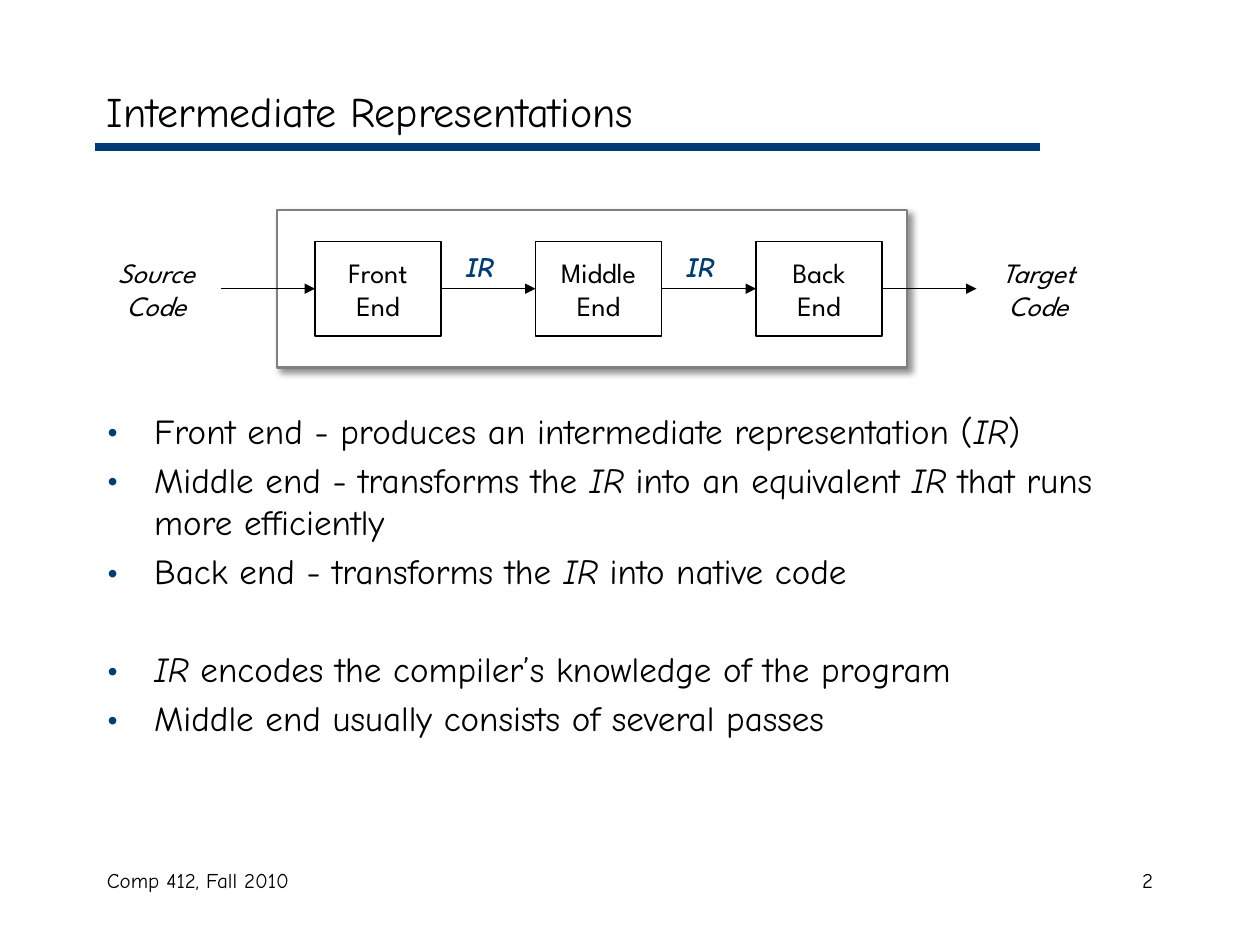
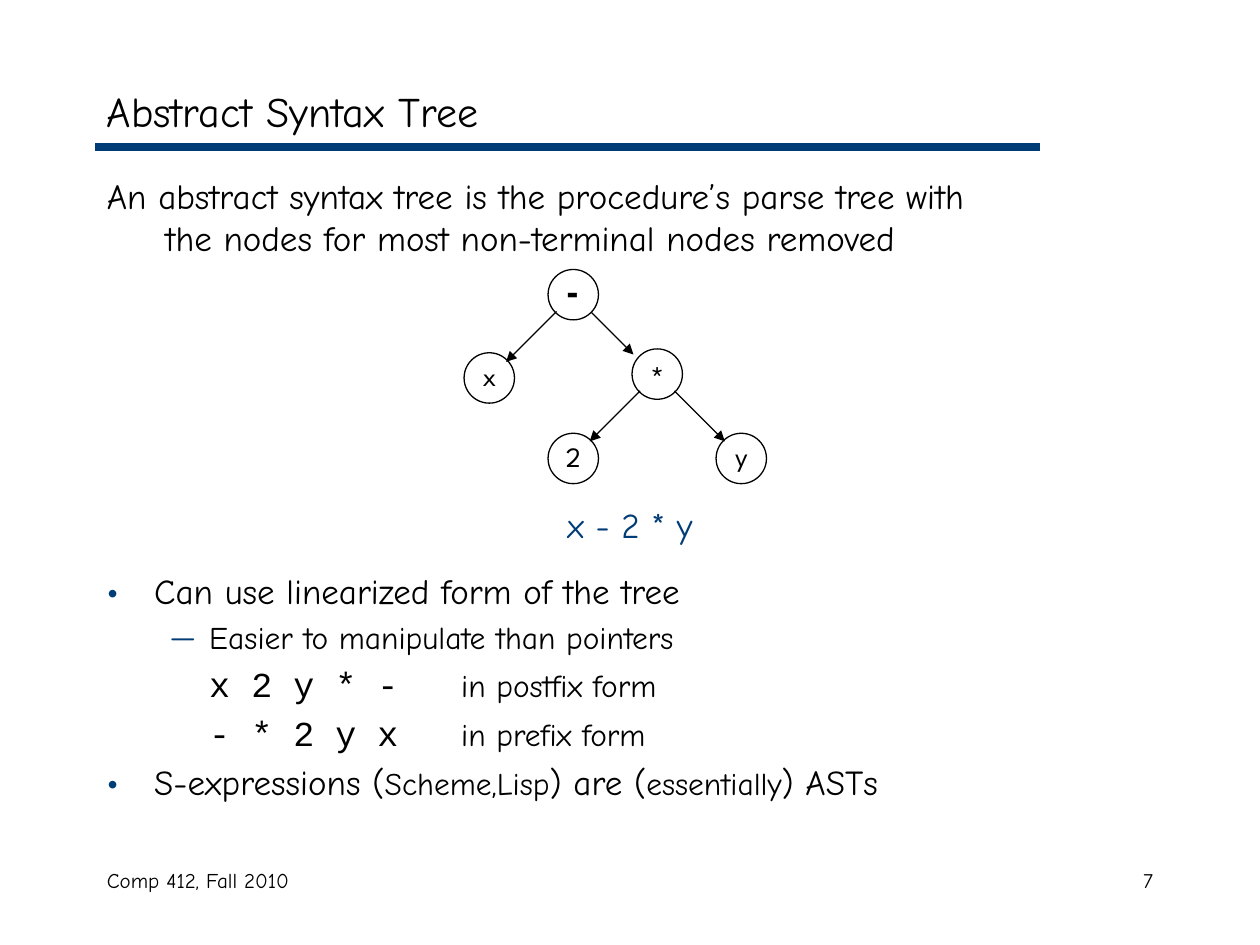
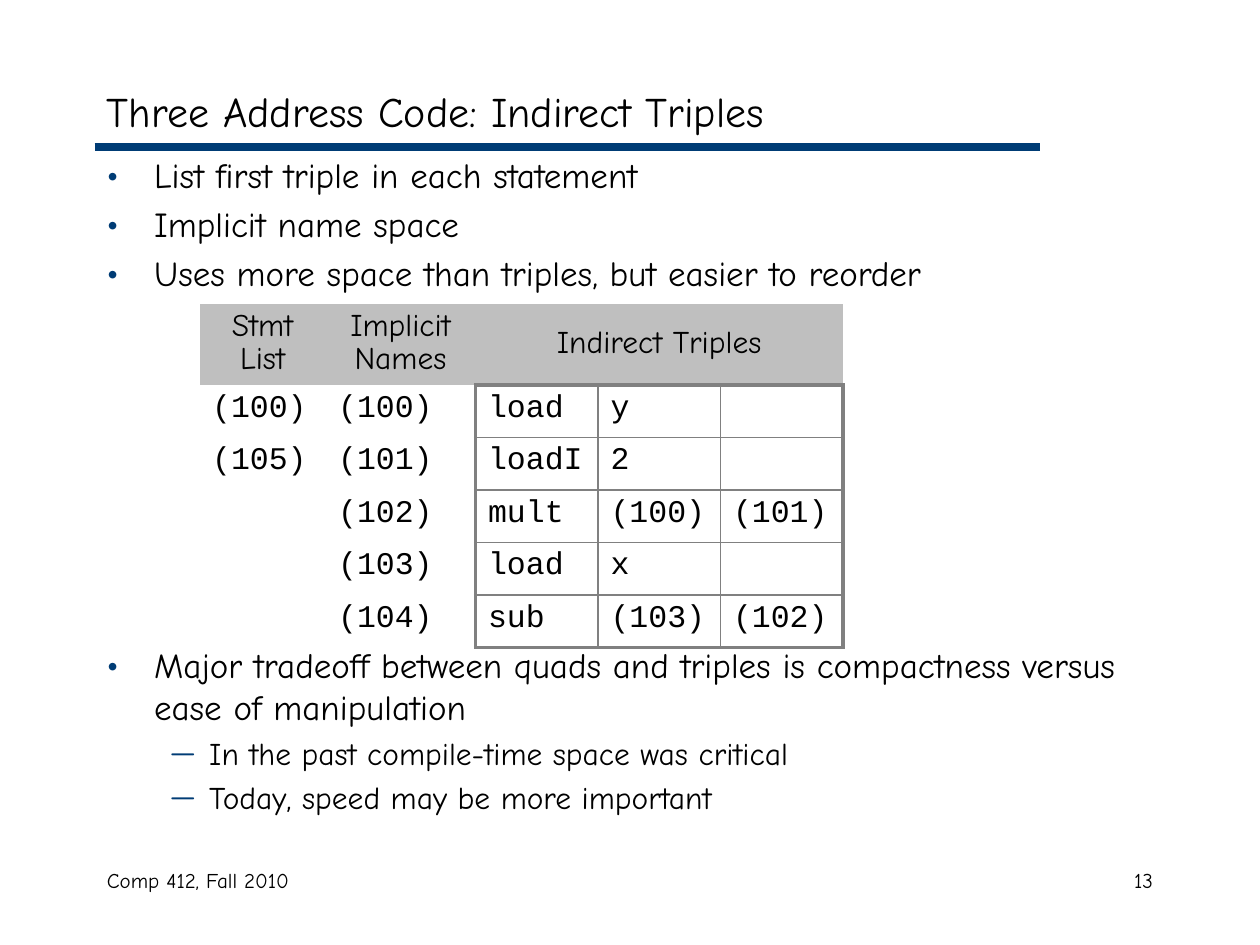
from lxml import etree
from pptx import Presentation
from pptx import util as u
from pptx.dml import color
from pptx.enum import shapes, text
from pptx.oxml import ns

Pt = u.Pt
BLUE, BLACK, WHITE, GRAY, SILVER = "003C75", "000000", "FFFFFF", "808080", "BFBFBF"
CENTER, RIGHT = text.PP_ALIGN.CENTER, text.PP_ALIGN.RIGHT
MIDDLE = text.MSO_ANCHOR.MIDDLE

BODY = dict(name="Comic Neue", size=Pt(20), color=BLACK)
SMALL = dict(size=Pt(18))
TITLE = dict(BODY, size=Pt(24))
FOOTER = dict(BODY, size=Pt(12))
DIAGRAM = dict(name="League Spartan", size=Pt(16), color=BLACK)
IR_LABEL = dict(BODY, size=Pt(16), color=BLUE, bold=True, italic=True)
HEADER = dict(BODY, size=Pt(18))
CODE = dict(name="Courier New", size=Pt(18), color=BLACK)


def rgb(value):
    return color.RGBColor.from_string(value)


def sub(parent, tag, **attrs):
    el = etree.SubElement(parent, ns.qn(tag))
    for key, value in attrs.items():
        el.set(key, str(value))
    return el


def style(font, fmt):
    for key, value in fmt.items():
        if key == "color":
            font.color.rgb = rgb(value)
        else:
            setattr(font, key, value)


def indent(p, left, first, bullet, percent):
    pPr = p._p.get_or_add_pPr()
    pPr.set("marL", str(Pt(left)))
    pPr.set("indent", str(Pt(first)))
    if bullet:
        sub(sub(pPr, "a:buClr"), "a:srgbClr", val=BLUE)
        sub(pPr, "a:buSzPct", val=percent * 1000)
        sub(pPr, "a:buFont", typeface=BODY["name"])
        sub(pPr, "a:buChar", char=bullet)


def write(tf, paras, font, **layout):
    for key, value in layout.items():
        setattr(tf, key, value)
    for i, (runs, fmt) in enumerate(paras):
        p = tf.paragraphs[0] if i == 0 else tf.add_paragraph()
        for key, value in fmt.items():
            if key == "indent":
                indent(p, *value)
            elif i or key != "space_before":
                setattr(p, key, value)
        for t, run_fmt in runs:
            r = p.add_run()
            r.text = t
            style(r.font, {**font, **run_fmt})


def lines(content, **fmt):
    return [([(t, {})], fmt) for t in content.split("\n")]


def emph(content):
    return [(t, dict(italic=True) if i % 2 else {})
            for i, t in enumerate(content.split("_")) if t]


def item(runs, before=4):
    return runs, dict(indent=(27, -27, "•", 120), space_before=Pt(before))


def subitem(content):
    return [(content, SMALL)], dict(level=1, indent=(58.5, -22.5, "—", 100), space_before=Pt(3.6))


def code_item(code, note):
    runs = [(code, dict(name="Courier New")), ("\t", {}), (note, SMALL)]
    return runs, dict(level=1, indent=(58.5, 0, None, 100), space_before=Pt(4))


def textbox(s, x, y, w, h, paras, font, wrap=True, **layout):
    tf = s.shapes.add_textbox(Pt(x), Pt(y), Pt(w), Pt(h)).text_frame
    write(tf, paras, font, word_wrap=wrap, **layout)


def shape(s, kind, x, y, w, h, line=BLACK, width=0.75, fill=None):
    sp = s.shapes.add_shape(kind, Pt(x), Pt(y), Pt(w), Pt(h))
    sp.shadow.inherit = False
    sp.line.color.rgb = rgb(line)
    sp.line.width = Pt(width)
    if fill:
        sp.fill.solid()
        sp.fill.fore_color.rgb = rgb(fill)
    else:
        sp.fill.background()
    return sp


def line(s, x, y, dx, dy, stroke=BLACK, width=0.75, arrow=True):
    c = s.shapes.add_connector(shapes.MSO_CONNECTOR.STRAIGHT, Pt(x), Pt(y), Pt(x + dx), Pt(y + dy))
    c.line.color.rgb = rgb(stroke)
    c.line.width = Pt(width)
    if arrow:
        sub(c.line._get_or_add_ln(), "a:tailEnd", type="triangle")
    sub(c._element.spPr, "a:effectLst")


def drop_shadow(sp):
    effects = sp._element.spPr.find(ns.qn("a:effectLst"))
    shadow = sub(effects, "a:outerShdw", blurRad=Pt(4), dist=Pt(3), dir=45 * 60000,
                 algn="tl", rotWithShape=0)
    sub(sub(shadow, "a:srgbClr", val=BLACK), "a:alpha", val=43000)


def node(s, label, x, y, shift, **fmt):
    size, height = 28.8, 31 if fmt else 26.6
    shape(s, shapes.MSO_SHAPE.OVAL, x, y, size, size)
    textbox(s, x + 3, y + (size - height) / 2 + shift, 23, height,
            lines(label, alignment=CENTER), {**DIAGRAM, **fmt}, wrap=False)


def new_slide(prs, title, number):
    s = prs.slides.add_slide(prs.slide_layouts[6])
    line(s, 54, 84, 540, 0, BLUE, 4.5, arrow=False)
    textbox(s, 54, 492, 228, 36, lines("Comp 412, Fall 2010"), FOOTER)
    textbox(s, 516, 492, 150, 36, lines(str(number), alignment=RIGHT), FOOTER)
    textbox(s, 54, 42, 612, 42, lines(title), TITLE, vertical_anchor=MIDDLE)
    return s


def pipeline(s):
    box, gap, top, height = 72, 54, 138, 54
    step, axis, first = box + gap, top + height / 2, 180
    drop_shadow(shape(s, shapes.MSO_SHAPE.RECTANGLE, 158.4, 120, 360, 90, GRAY, 1.5, WHITE))
    for i, name in enumerate(("Front", "Middle", "Back")):
        sp = shape(s, shapes.MSO_SHAPE.RECTANGLE, first + i * step, top, box, height)
        write(sp.text_frame, lines(name + "\nEnd", alignment=CENTER), DIAGRAM,
              word_wrap=False, vertical_anchor=MIDDLE)
    for i in range(4):
        line(s, first - gap + i * step, axis, gap, 0)
    for i in range(2):
        textbox(s, 259.2 + i * step, 138.8, 39.6, 26.6, lines("IR"), IR_LABEL, wrap=False)
    for x, name in ((54, "Source"), (558, "Target")):
        textbox(s, x, top, 70.6, height, lines(name + "\nCode", alignment=CENTER),
                dict(DIAGRAM, italic=True), wrap=False, vertical_anchor=MIDDLE)


def syntax_tree(s):
    large = Pt(20)
    node(s, "-", 313.2, 154, -3.2, size=large, bold=True)
    node(s, "x", 265.2, 201.6, -1.6)
    node(s, "2", 313.2, 247.6, -1)
    node(s, "y", 409.2, 247.6, -1.6)
    node(s, "*", 361.2, 199.4, 1.8, size=large)
    for x, y, dx, dy in ((365.8, 223.4, -28.8, 28.8), (385.4, 223.4, 28.8, 28.8),
                         (318, 178, -28.8, 28.8), (338, 178.6, 24, 24)):
        line(s, x, y, dx, dy)


def in_grid(row, col):
    return 1 <= row <= 5 and 2 <= col <= 4


def borders(cell, row, col):
    tcPr = cell._tc.get_or_add_tcPr()
    for tag, dr, dc in (("a:lnL", 0, -1), ("a:lnR", 0, 1), ("a:lnT", -1, 0), ("a:lnB", 1, 0)):
        sides = in_grid(row, col) + in_grid(row + dr, col + dc)
        ln = sub(tcPr, tag, w=Pt((0, 2.25, 1)[sides]))
        if sides:
            sub(sub(ln, "a:solidFill"), "a:srgbClr", val=GRAY)
        else:
            sub(ln, "a:noFill")


def triples_table(s, rows):
    widths = (72, 85.7, 70, 70, 70)
    frame = s.shapes.add_table(len(rows), len(widths), Pt(114), Pt(174), Pt(sum(widths)), Pt(196))
    tbl = frame.table
    tbl.first_row = tbl.horz_banding = False
    for col, w in zip(tbl.columns, widths):
        col.width = Pt(w)
    for i, row in enumerate(tbl.rows):
        row.height = Pt(30 if i else 46)
    for i, values in enumerate(rows):
        for j, value in enumerate(values):
            cell = tbl.cell(i, j)
            borders(cell, i, j)
            if i:
                cell.fill.background()
                fmt = dict(line_spacing=0.9)
            else:
                cell.fill.solid()
                cell.fill.fore_color.rgb = rgb(SILVER)
                fmt = dict(alignment=CENTER, line_spacing=1.4 if j == 2 else 0.9)
            if value:
                write(cell.text_frame, lines(value, **fmt), CODE if i else HEADER)
    tbl.cell(0, 2).merge(tbl.cell(0, 4))


def representations(prs):
    s = new_slide(prs, "Intermediate Representations", 2)
    textbox(s, 54, 230.4, 612, 250, [
        item(emph("Front end - produces an intermediate representation (_IR_)")),
        item(emph("Middle end - transforms the _IR _into an equivalent _IR_ that runs more efficiently")),
        item(emph("Back end - transforms the _IR_ into native code")),
        item(emph("_IR _encodes the compiler’s knowledge of the program"), before=32),
        item(emph("Middle end usually consists of several passes")),
    ], BODY)
    pipeline(s)


def abstract_syntax_tree(prs):
    s = new_slide(prs, "Abstract Syntax Tree", 7)
    textbox(s, 54, 96, 612, 384, [
        *lines("An abstract syntax tree is the procedure’s parse tree with"),
        *lines("the nodes for most non-terminal nodes removed", indent=(33.5, 0, None, 100)),
        ([("x - 2 * y", dict(color=BLUE))],
         dict(alignment=CENTER, space_before=Pt(140), space_after=Pt(10))),
        item(emph("Can use linearized form of the tree")),
        subitem("Easier to manipulate than pointers"),
        code_item("x 2 y * -", "in postfix form"),
        code_item("- * 2 y x", "in prefix form"),
        item([("S-expressions (", {}), ("Scheme,Lisp", SMALL), (") are (", {}),
              ("essentially", SMALL), (") ASTs", {})]),
    ], BODY)
    syntax_tree(s)


def indirect_triples(prs):
    s = new_slide(prs, "Three Address Code: Indirect Triples", 13)
    textbox(s, 54, 84, 612, 408, [
        item(emph("List first triple in each statement")),
        item(emph("Implicit name space")),
        item(emph("Uses more space than triples, but easier to reorder")),
        item(emph("Major tradeoff between quads and triples is compactness versus ease of manipulation"),
             before=200),
        subitem("In the past compile-time space was critical"),
        subitem("Today, speed may be more important"),
    ], BODY)
    triples_table(s, [
        ("Stmt\nList", "Implicit Names", "Indirect Triples", "", ""),
        ("(100)", "(100)", "load", "y", ""),
        ("(105)", "(101)", "loadI", "2", ""),
        ("", "(102)", "mult", "(100)", "(101)"),
        ("", "(103)", "load", "x", ""),
        ("", "(104)", "sub", "(103)", "(102)"),
    ])


def main():
    prs = Presentation()
    prs.slide_width, prs.slide_height = Pt(720), Pt(540)
    representations(prs)
    abstract_syntax_tree(prs)
    indirect_triples(prs)
    prs.save("out.pptx")


if __name__ == "__main__":
    main()
